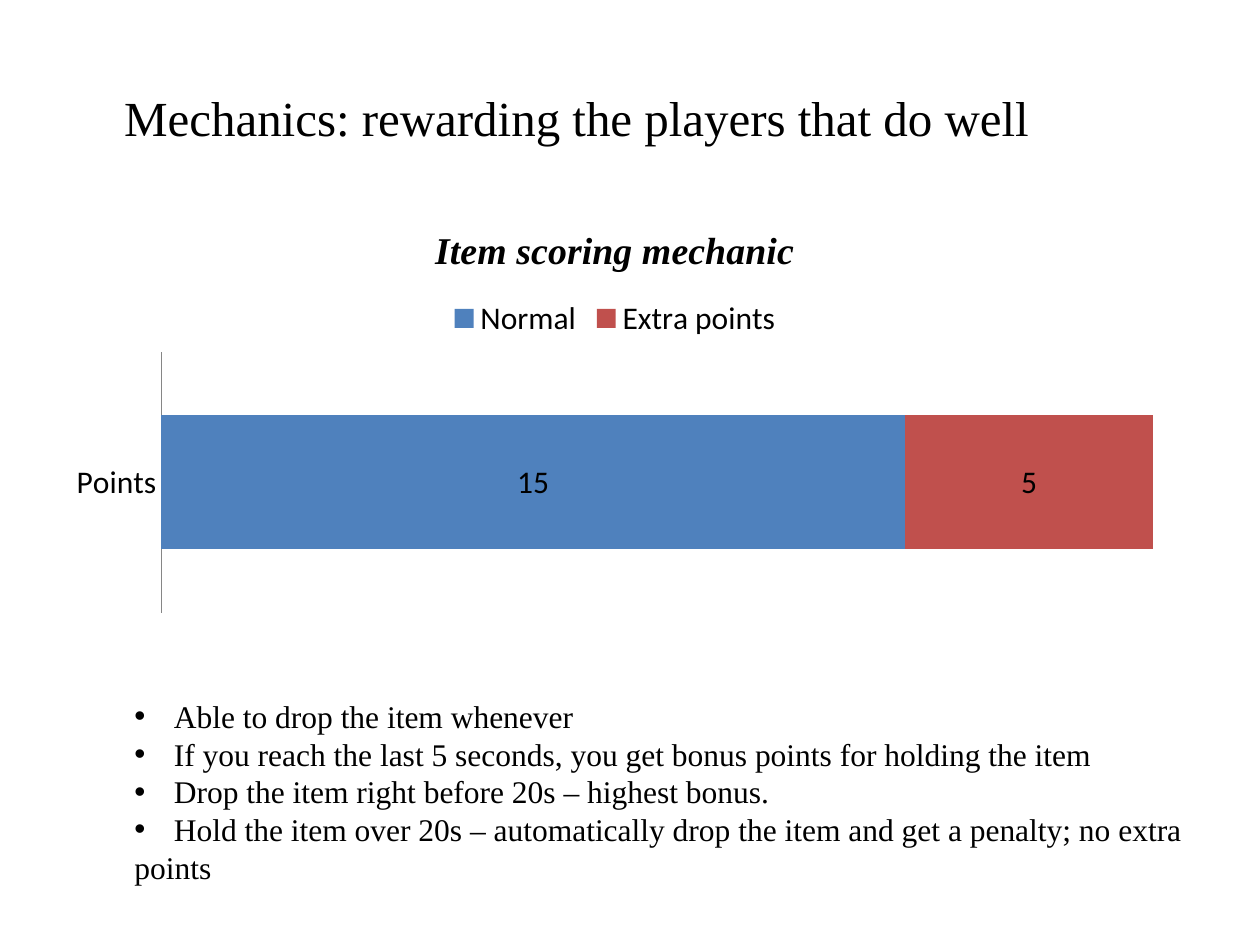
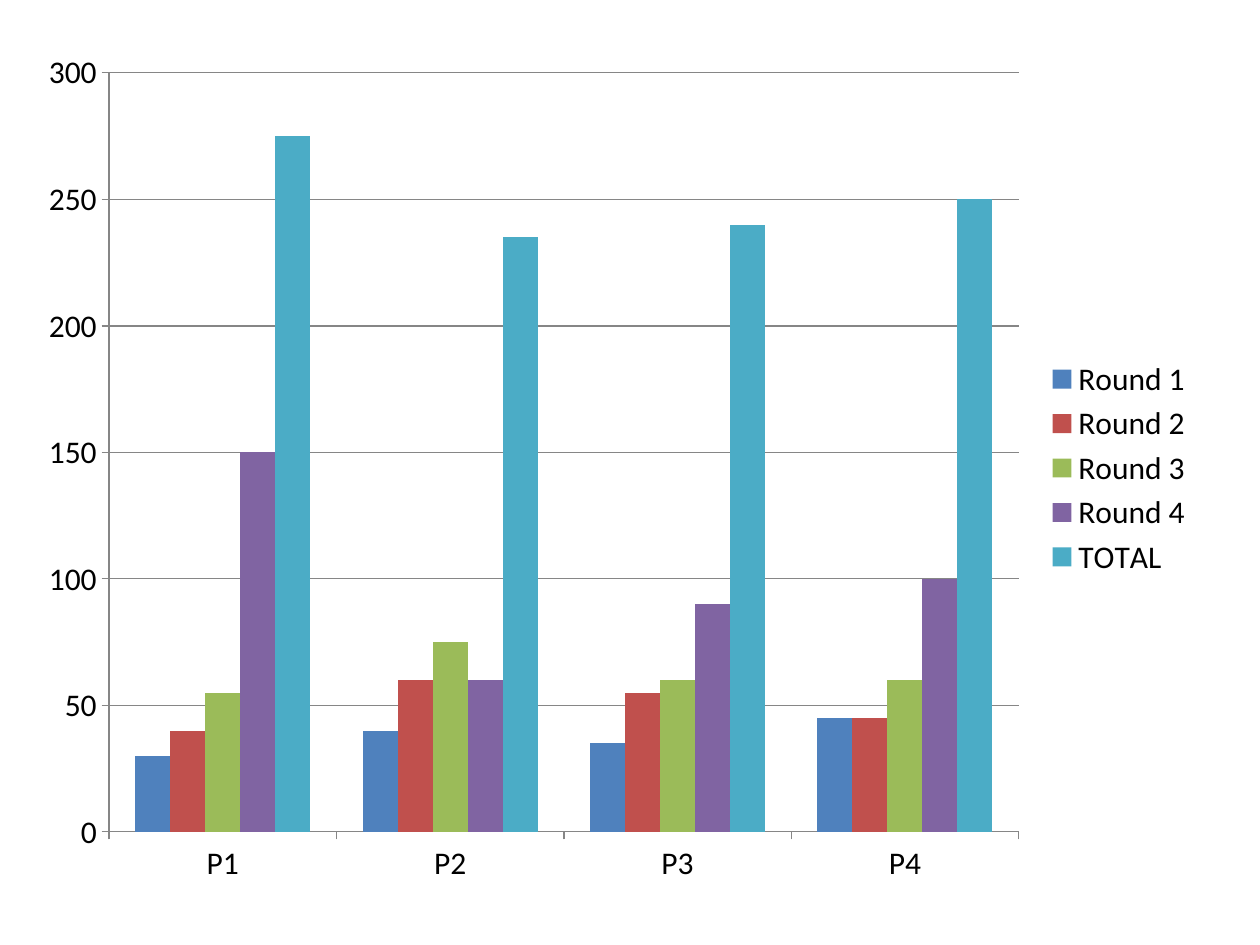
from pptx import Presentation
from pptx.chart.data import CategoryChartData
from pptx.dml.color import RGBColor
from pptx.enum import chart as ch, text
from pptx.oxml.ns import qn
from pptx.util import Pt
from lxml import etree

BLACK = RGBColor(0, 0, 0)
GREY = RGBColor(0x86, 0x86, 0x86)
HUES = [RGBColor.from_string(h)
        for h in ("4F81BD", "C0504D", "9BBB59", "8064A2", "4BACC6")]
SERIF, SANS = "Times New Roman", "Calibri"
BODY, HEAD = 18, 28


def style(font, size=BODY, name=SERIF):
    font.name, font.size = name, Pt(size)
    font.color.rgb = BLACK


def add_text(slide, box, lines, size, wrap=True):
    frame = slide.shapes.add_textbox(*map(Pt, box)).text_frame
    frame.text = "\n".join(lines)
    frame.word_wrap = wrap
    for para in frame.paragraphs:
        style(para.runs[0].font, size)
    return frame


def add_title(slide, box, words):
    frame = add_text(slide, box, [words], HEAD)
    frame.margin_left = Pt(35)
    frame.vertical_anchor = text.MSO_ANCHOR.MIDDLE


def add_list(slide, box, items, tail):
    """Bulleted items, then a plain line that carries on the last one."""
    frame = add_text(slide, box, items + [tail], BODY, wrap=False)
    frame.auto_size = text.MSO_AUTO_SIZE.SHAPE_TO_FIT_TEXT
    for para in frame.paragraphs[:len(items)]:
        props = para._p.get_or_add_pPr()
        props.set("marL", str(Pt(22.5)))
        props.set("indent", str(Pt(-22.5)))
        etree.SubElement(props, qn("a:buFont")).set("typeface", "Arial")
        etree.SubElement(props, qn("a:buChar")).set("char", "•")


def add_bars(slide, box, kind, cats, rows, gap, side):
    """Bar chart with the shared font, series colours and legend."""
    data = CategoryChartData()
    data.categories = cats
    for name, vals in rows.items():
        data.add_series(name, vals)
    chart = slide.shapes.add_chart(kind, *map(Pt, box), data).chart
    style(chart.font, name=SANS)
    chart.has_title = False
    chart.has_legend = True
    chart.legend.position = side
    chart.legend.include_in_layout = False
    plot = chart.plots[0]
    plot.gap_width = gap
    plot.vary_by_categories = False
    for series, hue in zip(plot.series, HUES):
        series.format.fill.solid()
        series.format.fill.fore_color.rgb = hue
    for axis in (chart.category_axis, chart.value_axis):
        axis.format.line.color.rgb = GREY
        axis.major_tick_mark = ch.XL_TICK_MARK.OUTSIDE
    return chart


def add_score(slide, box):
    chart = add_bars(slide, box, ch.XL_CHART_TYPE.BAR_STACKED_100, ["Points"],
                     {"Normal": [15], "Extra points": [5]}, 95,
                     ch.XL_LEGEND_POSITION.TOP)
    # Heading
    chart.has_title = True
    frame = chart.chart_title.text_frame
    frame.text = "Item scoring mechanic"
    font = frame.paragraphs[0].runs[0].font
    style(font, 21.6)
    font.bold = font.italic = True
    # Bare axes
    chart.category_axis.major_tick_mark = ch.XL_TICK_MARK.NONE
    chart.value_axis.has_major_gridlines = False
    chart.value_axis.visible = False
    # Value labels
    plot = chart.plots[0]
    plot.overlap = 100
    plot.has_data_labels = True
    plot.data_labels.show_value = True
    style(plot.data_labels.font, name=SANS)


def add_rounds(slide, box):
    rounds = [[30, 40, 35, 45], [40, 60, 55, 45],
              [55, 75, 60, 60], [150, 60, 90, 100]]
    rows = {f"Round {i}": vals for i, vals in enumerate(rounds, 1)}
    rows["TOTAL"] = [sum(vals) for vals in zip(*rounds)]
    chart = add_bars(slide, box, ch.XL_CHART_TYPE.COLUMN_CLUSTERED,
                     ["P1", "P2", "P3", "P4"], rows, 150,
                     ch.XL_LEGEND_POSITION.RIGHT)
    chart.value_axis.has_major_gridlines = True
    chart.value_axis.major_gridlines.format.line.color.rgb = GREY


deck = Presentation()
deck.slide_width, deck.slide_height = Pt(720), Pt(540)
blank = deck.slide_layouts[6]

# Scoring mechanic
slide = deck.slides.add_slide(blank)
add_title(slide, (36, 21.6, 648, 90),
          "Mechanics: rewarding the players that do well")
add_score(slide, (31, 116.6, 640.8, 238.3))
add_list(slide, (69.8, 394.6, 619.2, 116.6), [
    "Able to drop the item whenever",
    "If you reach the last 5 seconds, you get bonus points for holding the item",
    "Drop the item right before 20s – highest bonus.",
    "Hold the item over 20s – automatically drop the item and get a penalty; "
    "no extra",
], "points")

# Results by round
add_rounds(deck.slides.add_slide(blank), (14.4, 20.9, 674.6, 493.2))

deck.save("out.pptx")
